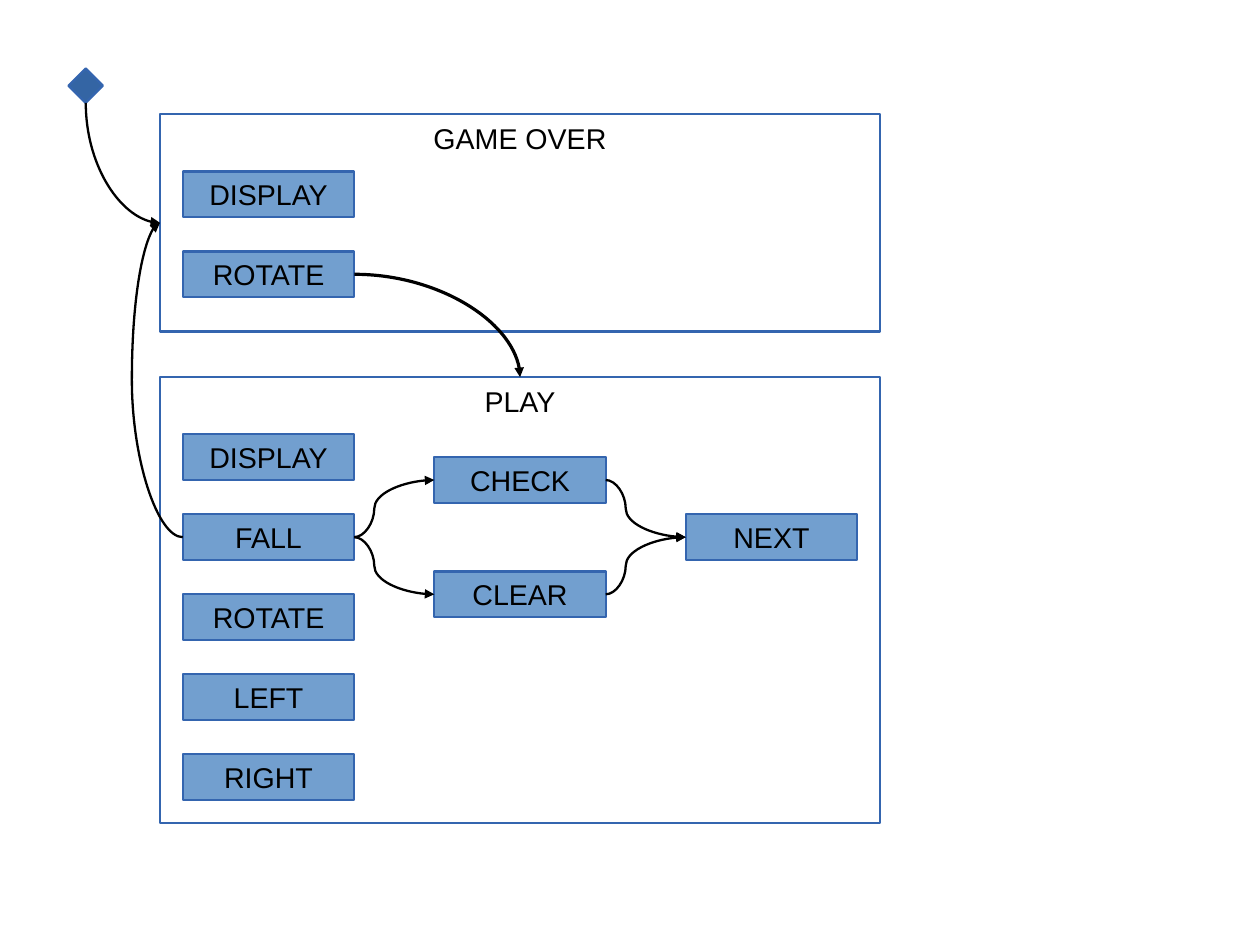
from collections import namedtuple
from dataclasses import dataclass

from lxml import etree
from pptx import Presentation
from pptx.dml.color import RGBColor
from pptx.enum.shapes import MSO_CONNECTOR, MSO_SHAPE
from pptx.enum.text import MSO_ANCHOR, PP_ALIGN
from pptx.oxml.ns import qn
from pptx.util import Cm, Pt

RECTANGLE = MSO_SHAPE.RECTANGLE
DIAMOND = MSO_SHAPE.DIAMOND
CURVE = MSO_CONNECTOR.CURVE
TOP = MSO_ANCHOR.TOP
MIDDLE = MSO_ANCHOR.MIDDLE
CENTER = PP_ALIGN.CENTER
SITE_TOP, SITE_LEFT, SITE_BOTTOM, SITE_RIGHT = range(4)

GRID = Cm(1.27) // 10
STATE_WIDTH, STATE_HEIGHT = 30, 8
FIRST_COLUMN, COLUMN_STEP = 4, 44
FIRST_ROW, ROW_STEP = 10, 14
BRANCH_OFFSET = 10

Box = namedtuple("Box", "left top width height")


@dataclass(frozen=True)
class Theme:
    font: str = "Arial"
    size: float = 18
    text: str = "000000"
    panel: str = "FFFFFF"
    state: str = "729FCF"
    start: str = "3465A4"
    outline: str = "3465AF"
    arrow: str = "000000"
    line_width: float = 1.45


THEME = Theme()


def write_text(shape, text, anchor=MIDDLE, size=THEME.size, color=THEME.text):
    frame = shape.text_frame
    frame.word_wrap = False
    frame.vertical_anchor = anchor
    frame.margin_left = frame.margin_right = Cm(0.28)
    frame.margin_top = frame.margin_bottom = Cm(0.15)
    para = frame.paragraphs[0]
    para.alignment = CENTER
    span = para.add_run()
    span.text = text
    span.font.name = THEME.font
    span.font.size = Pt(size)
    span.font.color.rgb = RGBColor.from_string(color)


def add_block(page, box, fill, kind=RECTANGLE):
    shape = page.shapes.add_shape(kind, *(GRID * length for length in box))
    shape.shadow.inherit = False
    shape.fill.solid()
    shape.fill.fore_color.rgb = RGBColor.from_string(fill)
    shape.line.color.rgb = RGBColor.from_string(THEME.outline)
    shape.line.width = Pt(THEME.line_width)
    return shape


def add_state(page, panel_box, text, column, row):
    box = Box(panel_box.left + column, panel_box.top + row, STATE_WIDTH, STATE_HEIGHT)
    shape = add_block(page, box, THEME.state)
    write_text(shape, text)
    return shape


def add_panel(page, box, title, names):
    panel = add_block(page, box, THEME.panel)
    write_text(panel, title, anchor=TOP)
    states = {
        name: add_state(page, box, name, FIRST_COLUMN, FIRST_ROW + index * ROW_STEP)
        for index, name in enumerate(names)
    }
    return panel, states


def add_arrow(page, source, source_site, target, target_site, bend=None, width=THEME.line_width):
    arrow = page.shapes.add_connector(CURVE, 0, 0, 0, 0)
    arrow.begin_connect(source, source_site)
    arrow.end_connect(target, target_site)
    arrow.line.color.rgb = RGBColor.from_string(THEME.arrow)
    arrow.line.width = Pt(width)
    properties = arrow._element.spPr
    etree.SubElement(properties.find(qn("a:ln")), qn("a:tailEnd"), type="triangle")
    etree.SubElement(properties, qn("a:effectLst"))
    geometry = properties.find(qn("a:prstGeom"))
    if bend is None:
        geometry.set("prst", "curvedConnector2")
    else:
        guides = geometry.find(qn("a:avLst"))
        formula = f"val {round(bend * 100000)}"
        etree.SubElement(guides, qn("a:gd"), name="adj1", fmla=formula)
    return arrow


def turn_downward(arrow):
    left, top, width, height = arrow.left, arrow.top, arrow.width, arrow.height
    arrow.left = left + (width - height) // 2
    arrow.top = top + (height - width) // 2
    arrow.width, arrow.height = height, width
    transform = arrow._element.spPr.find(qn("a:xfrm"))
    transform.set("rot", str(270 * 60000))
    transform.set("flipH", "1")


def add_play(page, box):
    panel, states = add_panel(page, box, "PLAY", ["DISPLAY", "FALL", "ROTATE", "LEFT", "RIGHT"])
    fall = states["FALL"]
    fall_row = FIRST_ROW + ROW_STEP
    branch_column = FIRST_COLUMN + COLUMN_STEP
    following = add_state(page, box, "NEXT", branch_column + COLUMN_STEP, fall_row)
    for name, offset in (("CHECK", -BRANCH_OFFSET), ("CLEAR", BRANCH_OFFSET)):
        branch = add_state(page, box, name, branch_column, fall_row + offset)
        add_arrow(page, fall, SITE_RIGHT, branch, SITE_LEFT, bend=0.25)
        add_arrow(page, branch, SITE_RIGHT, following, SITE_LEFT, bend=0.25)
    return panel, fall


def add_game_over(page, box):
    panel, states = add_panel(page, box, "GAME OVER", ["DISPLAY", "ROTATE"])
    return panel, states["ROTATE"]


def add_state_diagram(page, box):
    play, fall = add_play(page, Box(box.left + 16, box.top + 54, 126, 78))
    game_over, rotate = add_game_over(page, Box(box.left + 16, box.top + 8, 126, 38))
    start = add_block(page, Box(box.left, box.top, 6, 6), THEME.start, kind=DIAMOND)
    turn_downward(add_arrow(page, start, SITE_BOTTOM, game_over, SITE_LEFT))
    add_arrow(page, fall, SITE_LEFT, game_over, SITE_LEFT, bend=2.23)
    add_arrow(page, rotate, SITE_RIGHT, play, SITE_TOP, width=0)


deck = Presentation()
deck.slide_width, deck.slide_height = Cm(28), Cm(21)
blank_layout = deck.slide_layouts[6]
add_state_diagram(deck.slides.add_slide(blank_layout), Box(12, 12, 142, 132))
deck.save("out.pptx")
